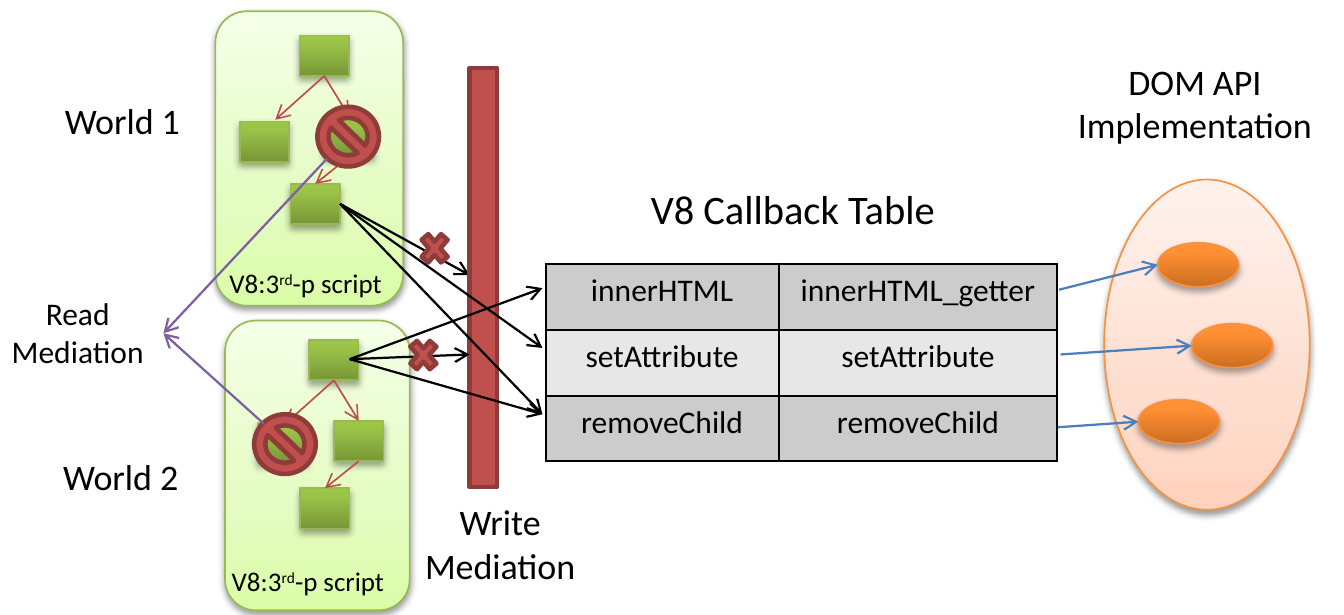
from lxml import etree
from pptx import Presentation
from pptx.dml.color import RGBColor
from pptx.enum.shapes import MSO_CONNECTOR, MSO_SHAPE
from pptx.enum.text import PP_ALIGN
from pptx.oxml import parse_xml
from pptx.oxml.ns import nsdecls, qn
from pptx.util import Pt

STRAIGHT = MSO_CONNECTOR.STRAIGHT
RECT, ROUNDED, OVAL = MSO_SHAPE.RECTANGLE, MSO_SHAPE.ROUNDED_RECTANGLE, MSO_SHAPE.OVAL
CROSS, BAN = MSO_SHAPE.MATH_MULTIPLY, MSO_SHAPE.NO_SYMBOL
LEFT, CENTER = PP_ALIGN.LEFT, PP_ALIGN.CENTER

BLACK = RGBColor(0x00, 0x00, 0x00)
RED = RGBColor(0xC0, 0x50, 0x4D)
DARK_RED = RGBColor(0x8E, 0x3B, 0x39)
EDGE_RED = RGBColor(0xBF, 0x4C, 0x48)
GREEN = RGBColor(0x98, 0xB9, 0x55)
ORANGE = RGBColor(0xF6, 0x92, 0x40)
BLUE = RGBColor(0x4B, 0x7E, 0xBC)
PURPLE = RGBColor(0x7D, 0x60, 0xA0)
GRAY = RGBColor(0xCC, 0xCC, 0xCC)
LIGHT_GRAY = RGBColor(0xE7, 0xE7, 0xE7)

# Outline, gradient stops from bottom to top, shadow opacity and distance
PANEL = (GREEN, ((0, "DAFDA7"), (35, "E4FCC2"), (100, "F5FFE7")), 38, 1.6)
NODE = (GREEN, ((0, "779737"), (80, "9BC348"), (100, "9DC746")), 35, 1.8)
DOM = (ORANGE, ((0, "FFD2BD"), (35, "FFDED0"), (100, "FFF2ED")), 38, 1.6)
METHOD = (ORANGE, ((0, "CC6E20"), (80, "FF9034"), (100, "FF9136")), 35, 1.8)

NODE_W, NODE_H = 22, 18


class Diagram:
    def __init__(self, slide):
        self.shapes = slide.shapes
        self.font_name = "Calibri"

    def style_font(self, font, size):
        for key, value in {"name": self.font_name, "size": Pt(size)}.items():
            setattr(font, key, value)
        font.color.rgb = BLACK

    def shape(self, kind, box, outline, line_width):
        shape = self.shapes.add_shape(kind, *map(Pt, box))
        shape.shadow.inherit = False
        shape.line.color.rgb = outline
        shape.line.width = Pt(line_width)
        return shape

    def glossy(self, kind, box, look):
        """Add a shape with a vertical gradient and a soft shadow below it."""
        outline, stops, opacity, distance = look
        shape = self.shape(kind, box, outline, 0.75)
        shape.fill.gradient()
        shape.fill.gradient_angle = 90
        properties = shape.element.spPr
        stop_list = properties.find(".//" + qn("a:gsLst"))
        for default_stop in list(stop_list):
            stop_list.remove(default_stop)
        for position, color in stops:
            stop = etree.SubElement(stop_list, qn("a:gs"), pos=str(position * 1000))
            etree.SubElement(stop, qn("a:srgbClr"), val=color)
        properties.find(qn("a:effectLst")).append(parse_xml(
            f'<a:outerShdw {nsdecls("a")} blurRad="{Pt(3.1)}" dist="{Pt(distance)}" '
            f'dir="5400000" rotWithShape="0"><a:srgbClr val="000000">'
            f'<a:alpha val="{opacity * 1000}"/></a:srgbClr></a:outerShdw>'))

    def barrier(self, kind, box):
        shape = self.shape(kind, box, DARK_RED, 2)
        shape.fill.solid()
        shape.fill.fore_color.rgb = RED

    def arrow(self, start, end, color, width=1):
        line = self.shapes.add_connector(STRAIGHT, *map(Pt, (*start, *end)))
        line.line.color.rgb = color
        line.line.width = Pt(width)
        etree.SubElement(line.line._get_or_add_ln(), qn("a:tailEnd"), type="arrow")
        etree.SubElement(line._element.spPr, qn("a:effectLst"))

    def text(self, box, lines, size, align=LEFT):
        """Write lines, each a tuple of runs; every second run is raised."""
        frame = self.shapes.add_textbox(*map(Pt, box)).text_frame
        for key, value in {"word_wrap": True, "margin_left": 0, "margin_right": 0}.items():
            setattr(frame, key, value)
        for index, runs in enumerate(lines):
            paragraph = frame.add_paragraph() if index else frame.paragraphs[0]
            paragraph.alignment = align
            for order, words in enumerate(runs):
                run = paragraph.add_run()
                run.text = words
                self.style_font(run.font, size)
                if order % 2:
                    run._r.get_or_add_rPr().set("baseline", "30000")

    def world(self, panel, root, left_child, label):
        """Group a script panel with its node tree and label."""
        slide_shapes = self.shapes
        self.shapes = slide_shapes.add_group_shape().shapes
        self.glossy(ROUNDED, panel, PANEL)
        x, y = root
        right, leaf = (x + 11, y + 36), (x - 4, y + 66)
        for node in (left_child, root, right, leaf):
            self.glossy(RECT, (*node, NODE_W, NODE_H), NODE)
        middle = NODE_W / 2
        root_foot = (x + middle, y + NODE_H)
        edges = ((root_foot, (x - 10.8, y + 37.5)),
                 (root_foot, (right[0] + middle, right[1])),
                 ((right[0] + middle, right[1] + NODE_H), (leaf[0] + middle, leaf[1])))
        for start, end in edges:
            self.arrow(start, end, EDGE_RED, 0.75)
        self.text((*label, 76, 21.6), [("V8:3", "rd", "-p script")], 12)
        self.shapes = slide_shapes

    def table(self, box, widths, rows, size):
        table = self.shapes.add_table(len(rows), len(widths), *map(Pt, box)).table
        table.first_row = table.horz_banding = False
        for column, width in zip(table.columns, widths):
            column.width = Pt(width)
        for row_index, row in enumerate(rows):
            for column_index, words in enumerate(row):
                cell = table.cell(row_index, column_index)
                cell.text = words
                for side in ("lnL", "lnR", "lnT", "lnB"):
                    cell._tc.get_or_add_tcPr().append(parse_xml(
                        f'<a:{side} {nsdecls("a")} w="{Pt(1)}"><a:solidFill>'
                        f'<a:srgbClr val="{BLACK}"/></a:solidFill></a:{side}>'))
                cell.fill.solid()
                cell.fill.fore_color.rgb = LIGHT_GRAY if row_index % 2 else GRAY
                paragraph = cell.text_frame.paragraphs[0]
                paragraph.alignment = CENTER
                self.style_font(paragraph.runs[0].font, size)


def main():
    deck = Presentation()
    deck.slide_width, deck.slide_height = Pt(597.6), Pt(273.6)
    diagram = Diagram(deck.slides.add_slide(deck.slide_layouts[6]))

    diagram.world((100.1, 142.6, 82.1, 128.9), (137.5, 151.2), (114.5, 187.9), (103, 247.7))

    diagram.glossy(OVAL, (491, 79.9, 91.4, 146.9), DOM)
    methods = (((514.8, 108), (470.9, 128.9)),
               ((529.9, 144), (471.6, 157.7)),
               ((506.2, 177.8), (470.2, 190.1)))
    for corner, _ in methods:
        diagram.glossy(OVAL, (*corner, 36, 19.6), METHOD)
    for (x, y), callback in methods:
        diagram.arrow(callback, (x, y + 9.8), BLUE)

    diagram.text((181.4, 218.9, 82.1, 46), [("Write",), ("Mediation",)], 16, CENTER)
    diagram.text((471.6, 23, 119.5, 46), [("DOM API",), ("Implementation",)], 16, CENTER)
    diagram.text((28.1, 198.7, 60, 26.6), [("World 2",)], 16)

    diagram.world((95.8, 5, 83.5, 131), (133.2, 15.8), (106.6, 54), (102, 115.2))
    diagram.text((28.8, 40.3, 60, 26.6), [("World 1",)], 16)

    world1_node, world2_node = (151.2, 90.7), (155.5, 159.8)
    inner_html, set_attribute, remove_child = ((241.2, y) for y in (128.2, 154.8, 184.3))
    diagram.arrow(world1_node, (208.8, 122.4), BLACK)
    diagram.barrier(RECT, (208.8, 30.2, 12.2, 186.5))
    diagram.barrier(CROSS, (185, 100.8, 16.6, 19.4))
    for target in ((208.8, 157.7), inner_html, remove_child):
        diagram.arrow(world2_node, target, BLACK)
    diagram.barrier(CROSS, (180, 148.3, 16.6, 19.4))

    diagram.text((289.4, 78.5, 140, 28.8), [("V8 Callback Table",)], 18)
    for corner in ((141.1, 47.5), (113, 184.3)):
        diagram.barrier(BAN, (*corner, 27.4, 26.6))
    diagram.text((-1.4, 127.4, 72, 41), [("Read",), ("Mediation",)], 14, CENTER)
    for target in (set_attribute, remove_child):
        diagram.arrow(world1_node, target, BLACK)
    for blocked_node in ((145.4, 70.6), (117.4, 188.6)):
        diagram.arrow(blocked_node, (72.7, 148.3), PURPLE)

    callbacks = (("innerHTML", "innerHTML_getter"),
                 ("setAttribute", "setAttribute"),
                 ("removeChild", "removeChild"))
    diagram.table((242.6, 117.4, 227.5, 87.9), (103.7, 123.8), callbacks, 14)
    deck.save("out.pptx")


if __name__ == "__main__":
    main()
